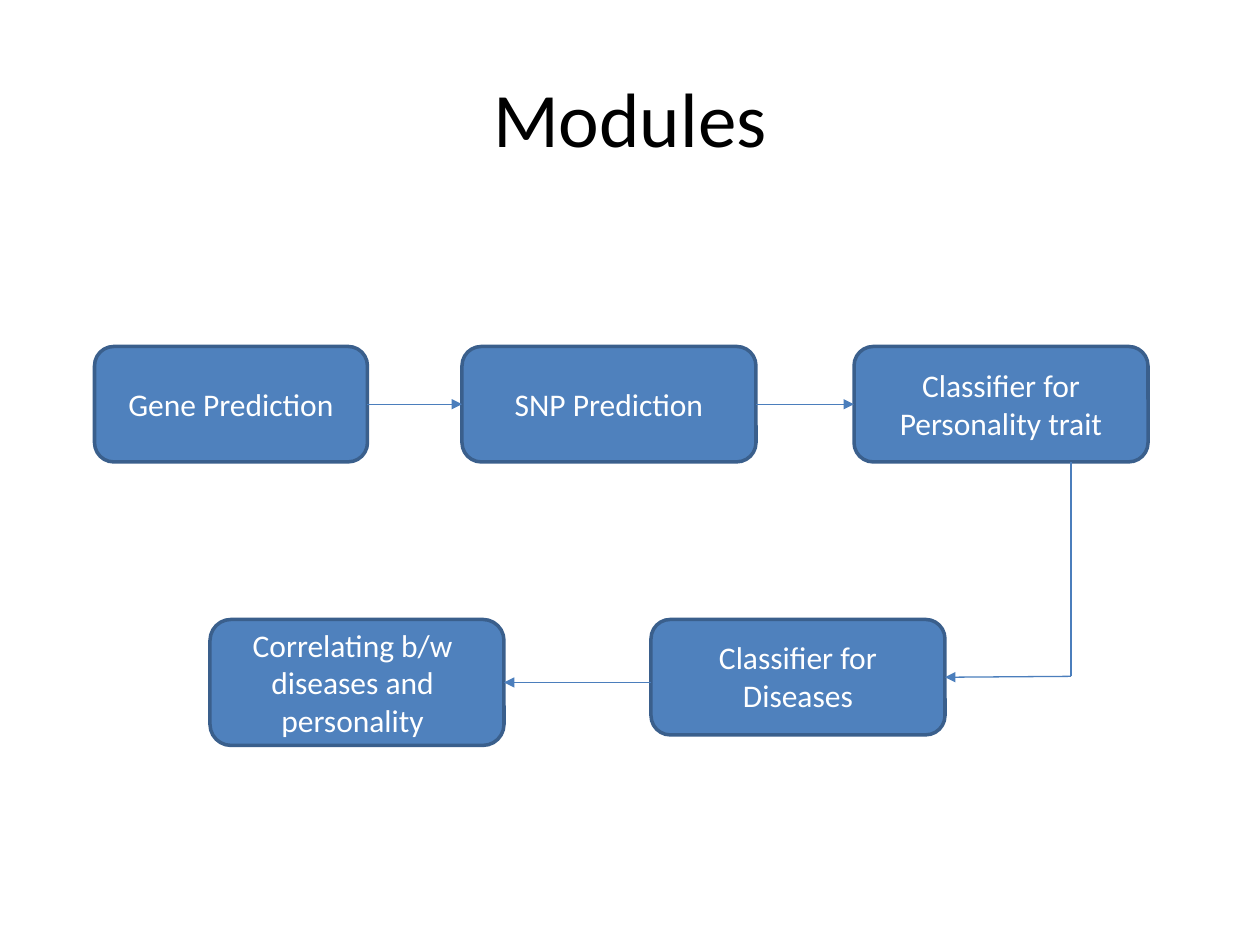
from dataclasses import dataclass

from lxml.etree import SubElement
from pptx import Presentation
from pptx.dml.color import RGBColor
from pptx.enum.shapes import MSO_CONNECTOR as Connector, MSO_SHAPE as Shape
from pptx.enum.text import MSO_ANCHOR as Anchor, PP_ALIGN as Align
from pptx.oxml.ns import qn
from pptx.util import Pt


@dataclass(frozen=True)
class Theme:
    font: str = "Calibri"
    title_size: float = 44
    label_size: float = 18
    title: RGBColor = RGBColor.from_string("000000")
    label: RGBColor = RGBColor.from_string("FFFFFF")
    module: RGBColor = RGBColor.from_string("4F81BD")
    border: RGBColor = RGBColor.from_string("3A5F8C")
    arrow: RGBColor = RGBColor.from_string("4B7EBC")
    border_width: float = 2
    arrow_width: float = 0.75


THEME = Theme()
TITLE = ("Modules", (36, 21.6, 648, 90))
GENE = (54, 198, 156, 66)
SNP = (264, 198, 168, 66)
PERSONALITY = (488, 198, 168, 66)
DISEASES = (372, 354, 168, 66)
CORRELATION = (120, 354, 168, 72)
MODULES = [
    (GENE, "Gene Prediction"),
    (SNP, "SNP Prediction"),
    (PERSONALITY, "Classifier for Personality trait"),
    (DISEASES, ""),
    (CORRELATION, ""),
]
LABELS = [
    ("Classifier for Diseases", (381, 361, 150, 51)),
    ("Correlating b/w diseases and personality", (126, 354, 151, 73)),
]
TURN_X = 612


def left(box):
    return box[0], box[1] + box[3] / 2


def right(box):
    return box[0] + box[2], box[1] + box[3] / 2


def write(frame, text, size, color, anchor=Anchor.MIDDLE):
    frame.word_wrap = True
    frame.vertical_anchor = anchor
    paragraph = frame.paragraphs[0]
    paragraph.text = text
    paragraph.alignment = Align.CENTER
    paragraph.font.name = THEME.font
    paragraph.font.size = Pt(size)
    paragraph.font.color.rgb = color


def add_module(slide, box, text):
    module = slide.shapes.add_shape(Shape.ROUNDED_RECTANGLE, *map(Pt, box))
    module.shadow.inherit = False
    module.fill.solid()
    module.fill.fore_color.rgb = THEME.module
    module.line.color.rgb = THEME.border
    module.line.width = Pt(THEME.border_width)
    if text:
        write(module.text_frame, text, THEME.label_size, THEME.label)


def add_line(slide, start, end, arrowhead=True):
    line = slide.shapes.add_connector(Connector.STRAIGHT, *map(Pt, start + end))
    line.line.color.rgb = THEME.arrow
    line.line.width = Pt(THEME.arrow_width)
    if arrowhead:
        SubElement(line.line._get_or_add_ln(), qn("a:tailEnd"), type="triangle")
    SubElement(line._element.spPr, qn("a:effectLst"))


def main():
    deck = Presentation()
    deck.slide_width, deck.slide_height = Pt(720), Pt(540)
    slide = deck.slides.add_slide(deck.slide_layouts[6])

    title, title_box = TITLE
    heading = slide.shapes.add_textbox(*map(Pt, title_box))
    write(heading.text_frame, title, THEME.title_size, THEME.title)

    for box, text in MODULES:
        add_module(slide, box, text)
    for text, box in LABELS:
        label = slide.shapes.add_textbox(*map(Pt, box))
        write(label.text_frame, text, THEME.label_size, THEME.label, Anchor.TOP)

    add_line(slide, right(GENE), left(SNP))
    add_line(slide, right(SNP), left(PERSONALITY))
    turn = (TURN_X, right(DISEASES)[1] - 0.5)
    add_line(slide, (TURN_X, PERSONALITY[1] + PERSONALITY[3]), turn, arrowhead=False)
    add_line(slide, turn, right(DISEASES))
    correlation_entry = right(CORRELATION)
    add_line(slide, (DISEASES[0], correlation_entry[1]), correlation_entry)

    deck.save("out.pptx")


if __name__ == "__main__":
    main()
